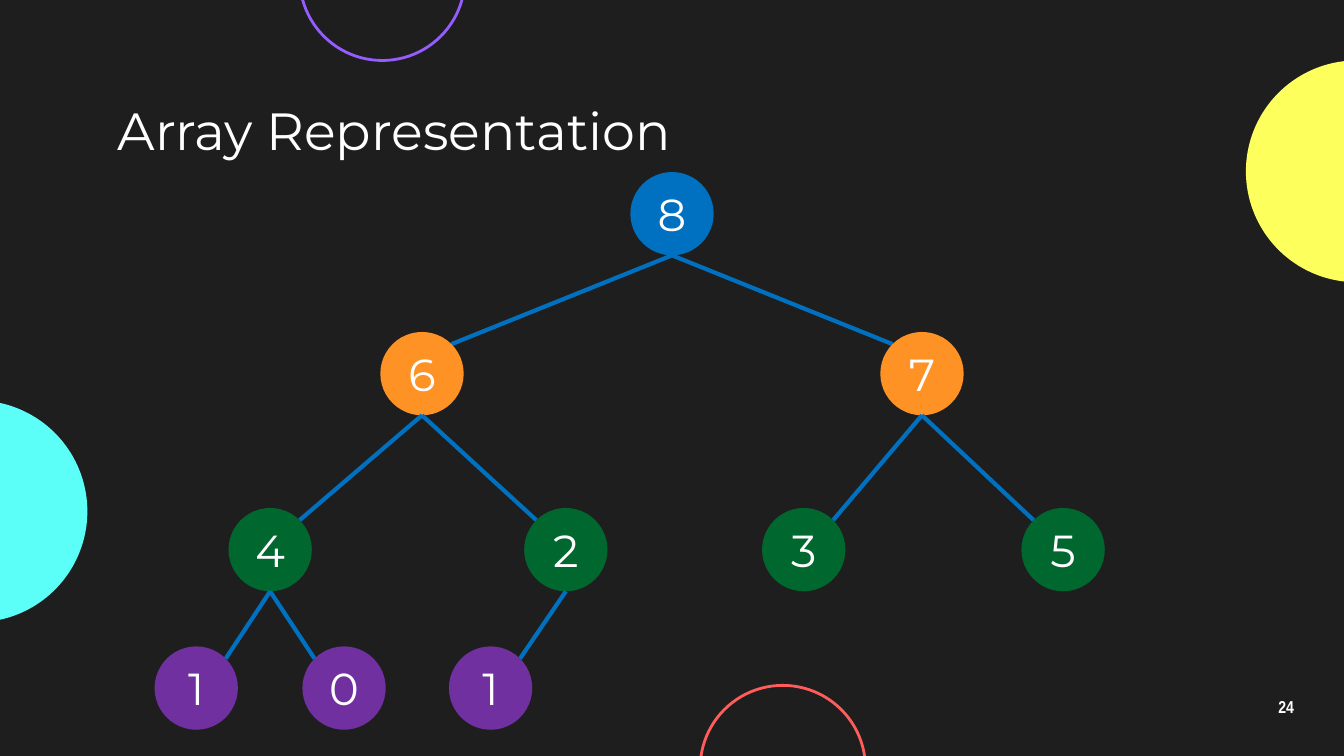
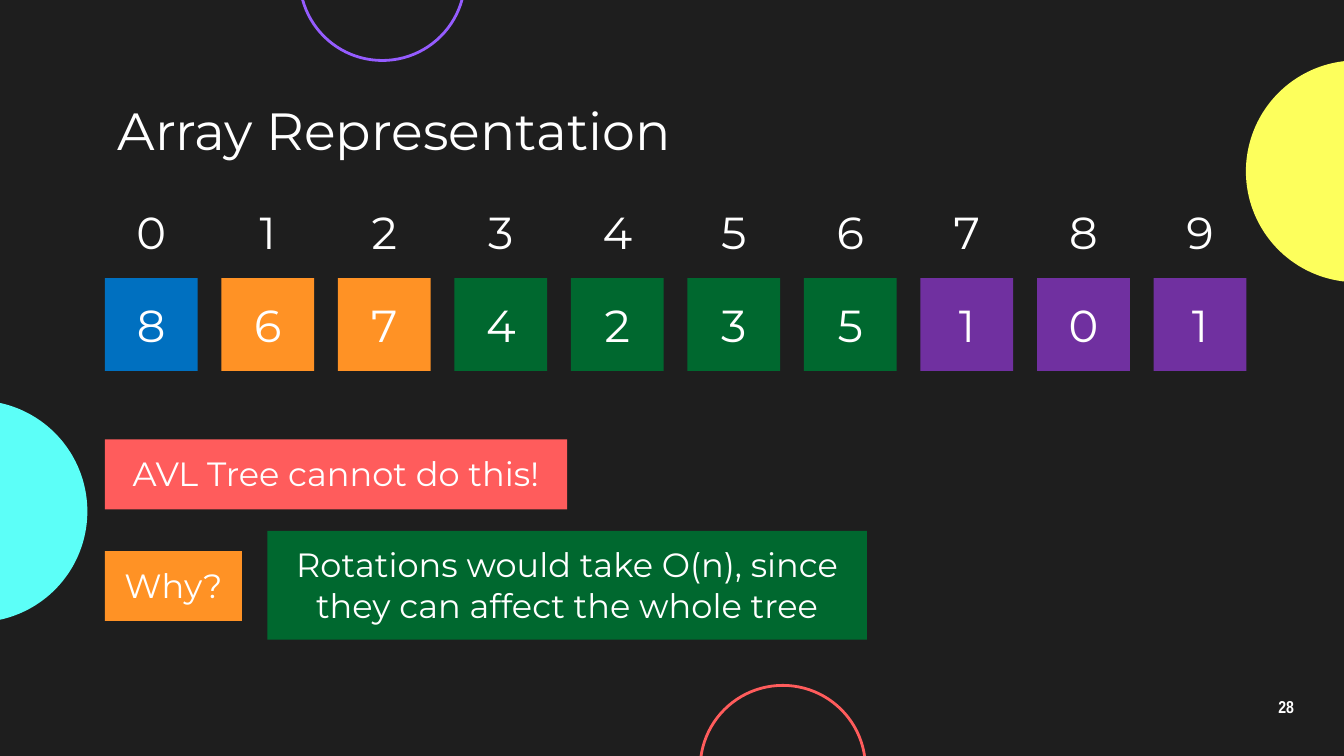
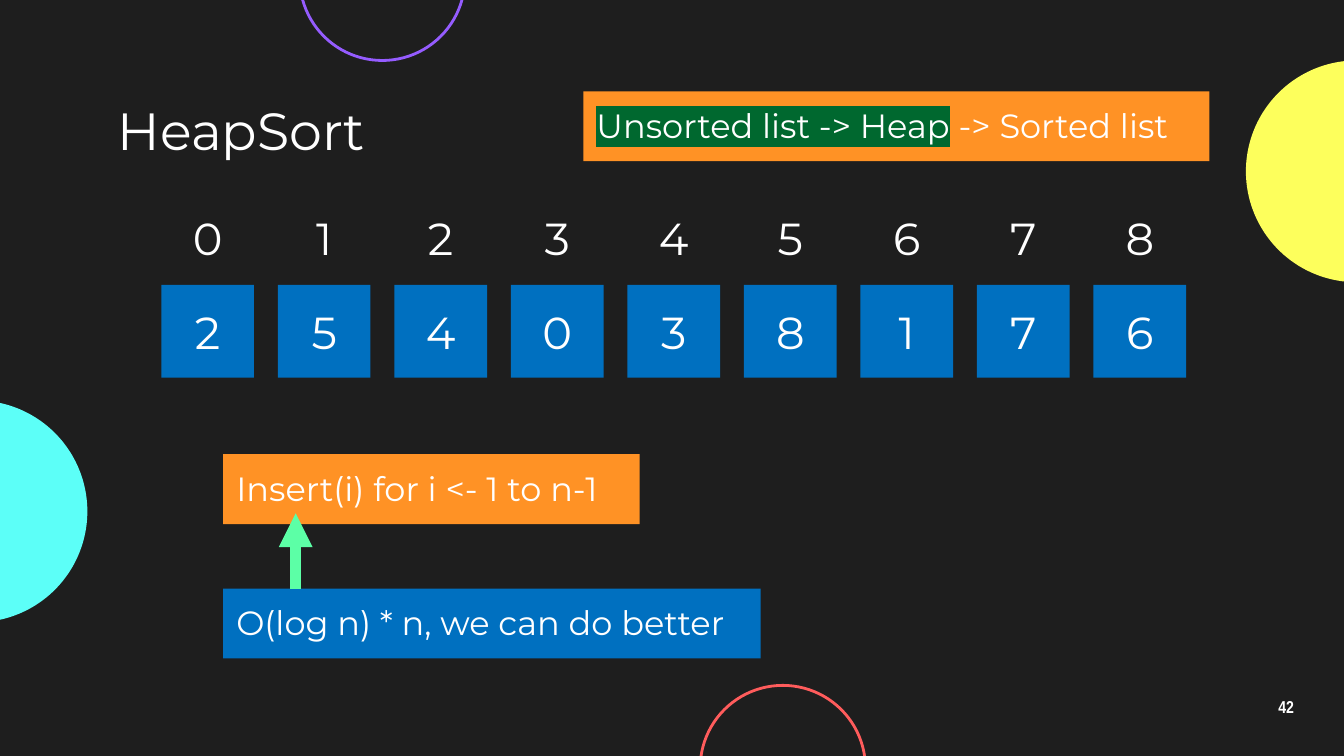
from dataclasses import dataclass
from math import sqrt
from typing import Any, NamedTuple

from lxml.etree import SubElement, Element
from pptx import Presentation
from pptx.dml.color import RGBColor
from pptx.enum.shapes import MSO_CONNECTOR as Link, MSO_SHAPE as Form
from pptx.enum.text import MSO_ANCHOR as Anchor, PP_ALIGN as Align
from pptx.oxml.ns import qn
from pptx.util import Inches, Pt

DARK = RGBColor(0x1E, 0x1E, 0x1E)
WHITE = RGBColor(0xFF, 0xFF, 0xFF)
CYAN = RGBColor(0x5C, 0xFF, 0xF8)
YELLOW = RGBColor(0xFD, 0xFF, 0x5C)
VIOLET = RGBColor(0x95, 0x5C, 0xFF)
CORAL = RGBColor(0xFF, 0x5C, 0x5C)
BLUE = RGBColor(0x00, 0x70, 0xC0)
ORANGE = RGBColor(0xFF, 0x92, 0x25)
GREEN = RGBColor(0x00, 0x68, 0x2F)
PURPLE = RGBColor(0x70, 0x30, 0xA0)
MINT = RGBColor(0x5C, 0xFF, 0xA6)

WIDE, HIGH = Inches(10), Inches(5.625)
COLS, ROWS = 100, 56.25
NODE = 6.2
CELL, STEP = 6.9, 8.67
LIFT = 5.6
TIERS = [BLUE, ORANGE, GREEN, PURPLE]
TOPS = [12.8, 24.7, 37.8, 48.1]
HEAP = [8, 6, 7, 4, 2, 3, 5, 1, 0, 1]
MIDS = [50, 31.4, 68.6, 20.1, 42.1, 59.8, 79.1, 14.6, 25.6, 36.5]
LIST = [2, 5, 4, 0, 3, 8, 1, 7, 6]


class Spot(NamedTuple):
    x: float
    y: float
    w: float
    h: float


class Bit(NamedTuple):
    text: str
    mark: RGBColor | None = None


@dataclass(frozen=True)
class Style:
    size: float
    align: Align = Align.CENTER
    anchor: Anchor = Anchor.MIDDLE
    pad: float = 1
    face: str = "Montserrat"
    bold: bool = False
    space: float = 1


@dataclass(frozen=True)
class Disc:
    spot: Spot
    fill: RGBColor | None = None
    edge: RGBColor | None = None


@dataclass(frozen=True)
class Note:
    spot: Spot
    fill: RGBColor
    bits: list[Bit]
    style: Style


HEAD = Style(28, Align.LEFT)
PAGE = Style(9.2, face="Arial Narrow", bold=True, space=0.9)
DIGIT = Style(24, pad=0.5)
MID = Style(18, anchor=Anchor.TOP)
LEFT = Style(18, Align.LEFT, Anchor.TOP)

DISCS = [
    Disc(Spot(-10, 29.8, 16.5, 16.5), fill=CYAN),
    Disc(Spot(92.7, 4.5, 16.5, 16.5), fill=YELLOW),
    Disc(Spot(22.3, -7.8, 12.3, 12.3), edge=VIOLET),
    Disc(Spot(52.1, 51, 12.3, 12.3), edge=CORAL),
]


def across(cols: float) -> int:
    return round(WIDE * cols / COLS)


def down(rows: float) -> int:
    return round(HIGH * rows / ROWS)


def place(spot: Spot) -> tuple[int, int, int, int]:
    return across(spot.x), down(spot.y), across(spot.w), down(spot.h)


def apply(item: Any, values: dict[str, Any]) -> None:
    for name, value in values.items():
        setattr(item, name, value)


def write(shape: Any, bits: list[Bit], style: Style) -> None:
    frame = shape.text_frame
    apply(frame, {
        "word_wrap": True, "vertical_anchor": style.anchor,
        "margin_left": across(1), "margin_right": across(1),
        "margin_top": down(style.pad), "margin_bottom": down(style.pad),
    })
    para = frame.paragraphs[0]
    apply(para, {"alignment": style.align, "line_spacing": style.space})
    for bit in bits:
        run = para.add_run()
        run.text = bit.text
        apply(run.font, {"size": Pt(style.size), "bold": style.bold})
        run.font.color.rgb = WHITE
        if bit.mark is not None:
            light = Element(qn("a:highlight"))
            SubElement(light, qn("a:srgbClr"), val=str(bit.mark))
            run.font._element.find(qn("a:solidFill")).addnext(light)
        run.font.name = style.face


def label(slide: Any, spot: Spot, text: str, style: Style) -> None:
    write(slide.shapes.add_textbox(*place(spot)), [Bit(text)], style)


def draw(slide: Any, form: Form, spot: Spot, fill: RGBColor | None = None,
         edge: RGBColor | None = None) -> Any:
    shape = slide.shapes.add_shape(form, *place(spot))
    shape.shadow.inherit = False
    if fill is None:
        shape.fill.background()
    else:
        shape.fill.solid()
        shape.fill.fore_color.rgb = fill
    if edge is None:
        shape.line.fill.background()
    else:
        shape.line.color.rgb = edge
        shape.line.width = Pt(1.5)
    return shape


def join(slide: Any, x: float, y: float, to_x: float, to_y: float,
         hue: RGBColor, width: float, arrow: bool = False) -> None:
    link = slide.shapes.add_connector(
        Link.STRAIGHT, across(x), down(y), across(to_x), down(to_y))
    link.line.color.rgb = hue
    link.line.width = Pt(width)
    props = link._element.spPr
    if arrow:
        SubElement(props.find(qn("a:ln")), qn("a:tailEnd"), type="triangle")
    SubElement(props, qn("a:effectLst"))


def start(deck: Any, title: str, page: int) -> Any:
    slide = deck.slides.add_slide(deck.slide_layouts[6])
    slide.background.fill.solid()
    slide.background.fill.fore_color.rgb = DARK
    for disc in DISCS:
        draw(slide, Form.OVAL, disc.spot, disc.fill, disc.edge)
    label(slide, Spot(92.7, 51, 6, 3.4), str(page), PAGE)
    label(slide, Spot(7.8, 7.1, 84.4, 5.1), title, HEAD)
    return slide


def tier(index: int) -> int:
    return (index + 1).bit_length() - 1


def grow(slide: Any) -> None:
    half = NODE / 2
    reach = half / sqrt(2)
    for index, (key, mid) in enumerate(zip(HEAP, MIDS)):
        level = tier(index)
        top = TOPS[level]
        if index:
            root = (index - 1) // 2
            side = 1 if index % 2 else -1
            join(slide, mid + side * reach, top + half - reach,
                 MIDS[root], TOPS[level - 1] + NODE, BLUE, 2.25)
        node = draw(slide, Form.OVAL, Spot(mid - half, top, NODE, NODE),
                    TIERS[level])
        write(node, [Bit(str(key))], DIGIT)


def row(slide: Any, keys: list[int], left: float, top: float,
        fills: list[RGBColor]) -> None:
    for index, (key, fill) in enumerate(zip(keys, fills)):
        x = left + index * STEP
        cell = draw(slide, Form.RECTANGLE, Spot(x, top, CELL, CELL), fill)
        write(cell, [Bit(str(key))], DIGIT)
        label(slide, Spot(x, top - LIFT, CELL, 4.2), str(index), DIGIT)


def post(slide: Any, notes: list[Note]) -> None:
    for note in notes:
        box = draw(slide, Form.RECTANGLE, note.spot, note.fill)
        write(box, note.bits, note.style)


def main() -> None:
    deck = Presentation()
    apply(deck, {"slide_width": WIDE, "slide_height": HIGH})

    grow(start(deck, "Array Representation", 24))

    slide = start(deck, "Array Representation", 28)
    row(slide, HEAP, 7.8, 20.7, [TIERS[tier(i)] for i in range(len(HEAP))])
    post(slide, [
        Note(Spot(7.8, 32.7, 34.4, 5.2), CORAL,
             [Bit("AVL Tree cannot do this!")], MID),
        Note(Spot(7.8, 41, 10.2, 5.2), ORANGE, [Bit("Why?")], MID),
        Note(Spot(19.9, 39.5, 44.6, 8.1), GREEN,
             [Bit("Rotations would take O(n), since they can affect "
                  "the whole tree")], MID),
    ])

    slide = start(deck, "HeapSort", 42)
    row(slide, LIST, 12, 21.2, [BLUE] * len(LIST))
    post(slide, [
        Note(Spot(43.4, 6.8, 46.6, 5.2), ORANGE,
             [Bit("Unsorted list -> Heap", GREEN),
              Bit(" -> Sorted list")], LEFT),
        Note(Spot(16.6, 33.8, 31, 5.2), ORANGE,
             [Bit("Insert(i) for i <- 1 to n-1")], LEFT),
        Note(Spot(16.6, 43.8, 40, 5.2), BLUE,
             [Bit("O(log n) * n, we can do better")], LEFT),
    ])
    join(slide, 22, 43.8, 22, 38.2, MINT, 6, arrow=True)

    deck.save("out.pptx")


if __name__ == "__main__":
    main()
